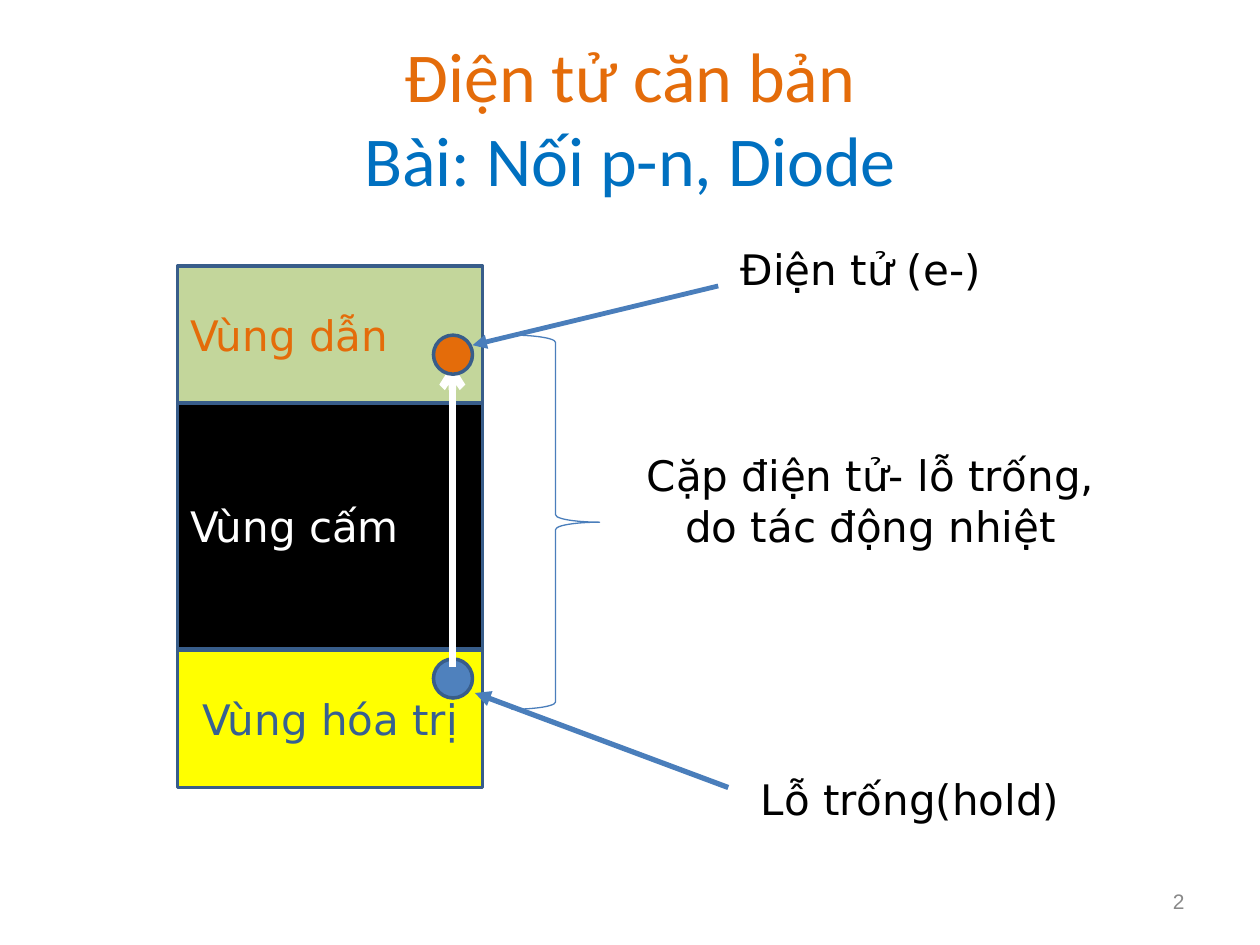
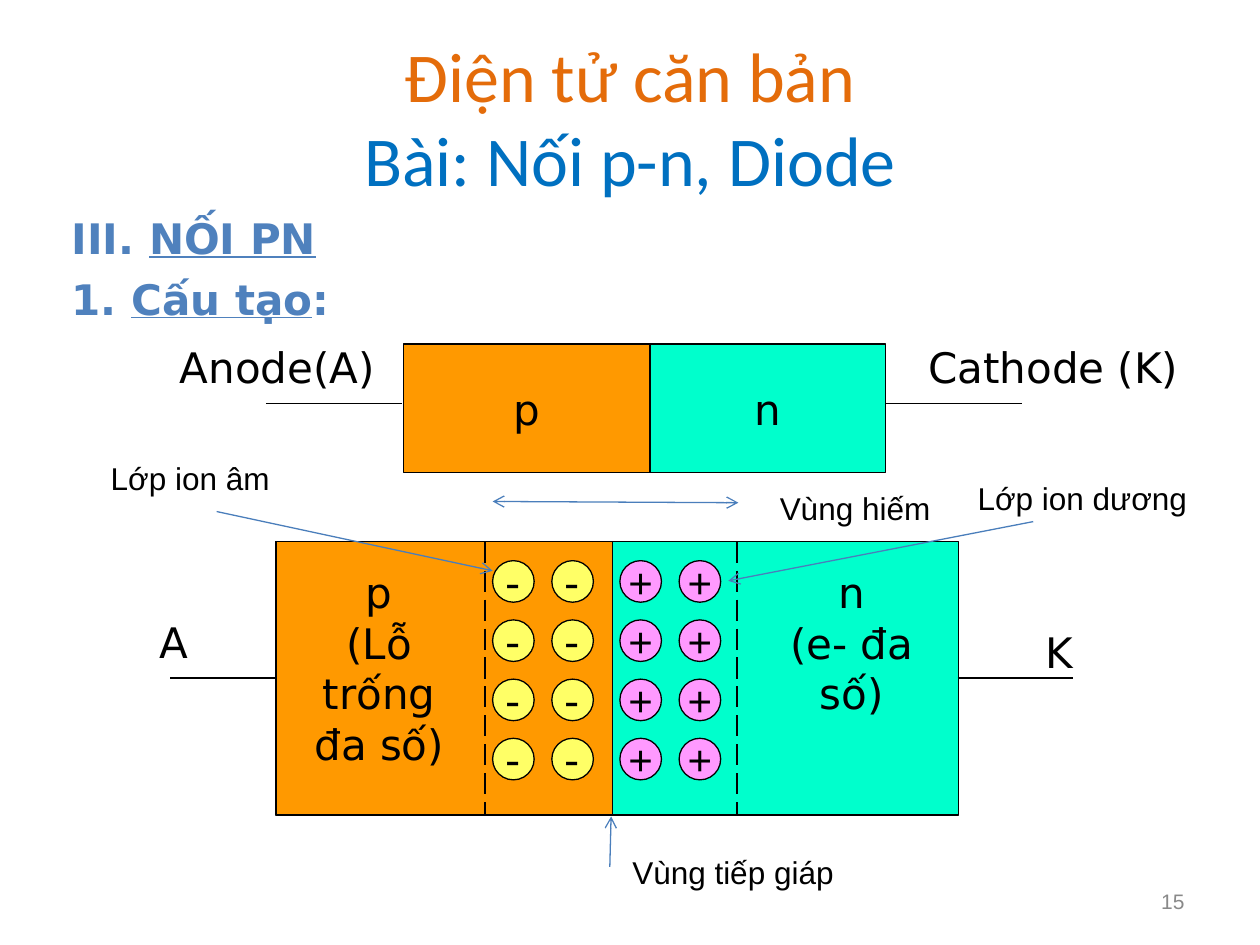
import lxml.etree
import pptx
import pptx.dml.color
import pptx.enum.dml
import pptx.enum.shapes
import pptx.enum.text
import pptx.oxml.ns
import pptx.util

PX = 9144
COLORS = {
    "black": "000000", "white": "FFFFFF", "grey": "898989",
    "orange": "E46C0A", "title_blue": "0070C0", "heading": "4F81BD",
    "arrow": "4A7EBB", "outline": "385D8A", "valence_text": "376092",
    "conduction": "C3D69B", "valence": "FFFF00",
    "p_side": "FF9900", "n_side": "00FFCC",
    "negative": "FFFF66", "positive": "FF99FF",
}
SHAPE = pptx.enum.shapes.MSO_SHAPE
ALIGN = pptx.enum.text.PP_ALIGN
ANCHOR = pptx.enum.text.MSO_ANCHOR
AUTO_SIZE = pptx.enum.text.MSO_AUTO_SIZE


def px(*lengths):
    return [pptx.util.Emu(length * PX) for length in lengths]


def rgb(name):
    return pptx.dml.color.RGBColor.from_string(COLORS[name])


class Board:
    body_font = "DejaVu Sans"
    label_font = "Arial"
    title_font = "Calibri"

    def __init__(self):
        self.deck = pptx.Presentation()
        self.deck.slide_width, self.deck.slide_height = px(1000, 750)
        self.slide = None

    def start(self, number):
        self.slide = self.deck.slides.add_slide(self.deck.slide_layouts[5])
        title = self.slide.shapes.title
        title.left, title.top, title.width, title.height = px(50, 30, 900, 125)
        frame = title.text_frame
        frame.auto_size = AUTO_SIZE.NONE
        frame.vertical_anchor = ANCHOR.MIDDLE
        heading = frame.paragraphs[0]
        heading.alignment = ALIGN.CENTER
        self.add_words(heading, "Điện tử căn bản", 40, self.title_font, "orange")
        heading.add_line_break()
        self.add_words(heading, "Bài: Nối p-n, Diode", 40, self.title_font, "title_blue")
        self.text((717, 695, 233, 40), [number], 12, self.label_font, "grey",
                  ALIGN.RIGHT, ANCHOR.MIDDLE, grow=False)

    def add_words(self, paragraph, words, size, font, color, bold=False, underline=False):
        run = paragraph.add_run()
        run.text = words
        run.font.size = pptx.util.Pt(size)
        run.font.name = font
        run.font.bold = bold
        run.font.underline = underline
        run.font.color.rgb = rgb(color)

    def add_lines(self, frame, lines, size, font, color, align):
        for index, words in enumerate(lines):
            paragraph = frame.add_paragraph() if index else frame.paragraphs[0]
            paragraph.alignment = align
            self.add_words(paragraph, words, size, font, color)

    def text(self, area, lines, size=24, font=body_font, color="black",
             align=ALIGN.LEFT, anchor=ANCHOR.TOP, grow=True):
        frame = self.slide.shapes.add_textbox(*px(*area)).text_frame
        frame.word_wrap = True
        frame.auto_size = AUTO_SIZE.SHAPE_TO_FIT_TEXT if grow else AUTO_SIZE.NONE
        frame.vertical_anchor = anchor
        self.add_lines(frame, lines, size, font, color, align)

    def headings(self, area, lines):
        frame = self.slide.shapes.add_textbox(*px(*area)).text_frame
        frame.word_wrap = True
        for index, pieces in enumerate(lines):
            paragraph = frame.add_paragraph() if index else frame.paragraphs[0]
            if index:
                paragraph.space_before = pptx.util.Pt(6)
            for words, underline in pieces:
                self.add_words(paragraph, words, 24, self.body_font, "heading",
                               True, underline)

    def shape(self, kind, area, fill=None, outline="black", weight=0.75, words=None,
              font=body_font, color="black", align=ALIGN.CENTER, wrap=False):
        shape = self.slide.shapes.add_shape(kind, *px(*area))
        shape.shadow.inherit = False
        if fill:
            shape.fill.solid()
            shape.fill.fore_color.rgb = rgb(fill)
        else:
            shape.fill.background()
        shape.line.color.rgb = rgb(outline)
        shape.line.width = pptx.util.Pt(weight)
        if words:
            frame = shape.text_frame
            frame.word_wrap = wrap
            frame.vertical_anchor = ANCHOR.MIDDLE
            self.add_lines(frame, [words], 24, font, color, align)

    def line(self, start, end, color="black", weight=0.75, dashed=False,
             head=None, tail=None):
        line = self.slide.shapes.add_connector(
            pptx.enum.shapes.MSO_CONNECTOR.STRAIGHT, *px(*start, *end))
        line.line.color.rgb = rgb(color)
        line.line.width = pptx.util.Pt(weight)
        if dashed:
            line.line.dash_style = pptx.enum.dml.MSO_LINE.LONG_DASH
        properties = line._element.spPr
        qn = pptx.oxml.ns.qn
        for tag, arrow in (("a:headEnd", head), ("a:tailEnd", tail)):
            if arrow:
                lxml.etree.SubElement(properties.find(qn("a:ln")), qn(tag), type=arrow)
        lxml.etree.SubElement(properties, qn("a:effectLst"))


def energy_bands(board):
    board.start("2")
    bands = [
        (211, 109, "conduction", "Vùng dẫn", "orange", ALIGN.LEFT),
        (320, 195, "black", "Vùng cấm", "white", ALIGN.LEFT),
        (516, 109, "valence", "Vùng hóa trị", "valence_text", ALIGN.CENTER),
    ]
    for top, height, fill, words, color, align in bands:
        board.shape(SHAPE.RECTANGLE, (141, top, 242, height), fill, "outline", 2,
                    words, color=color, align=align, wrap=True)

    board.shape(SHAPE.OVAL, (344, 523, 31, 31), "heading", "outline", 2)
    board.line((359, 529), (359, 289), "white", 4.25, tail="arrow")
    board.shape(SHAPE.OVAL, (344, 266, 31, 31), "orange", "outline", 2)

    board.shape(SHAPE.RIGHT_BRACE, (406, 266, 70, 297), outline="arrow")
    board.text((484, 352, 414, 90), ["Cặp điện tử- lỗ trống,", "do tác động nhiệt"],
               align=ALIGN.CENTER)
    board.line((578, 625), (377, 550), "arrow", 3, tail="triangle")
    board.line((570, 227), (375, 274), "arrow", 2.75, tail="triangle")
    board.text((578, 188, 250, 50), ["Điện tử (e-)"])
    board.text((594, 609, 297, 50), ["Lỗ trống(hold)"])


def pn_junction(board):
    board.start("15")
    board.headings((47, 164, 900, 495), [
        [("III. ", False), ("NỐI PN", True)],
        [("1. ", False), ("Cấu tạo", True), (":", False)],
    ])

    board.shape(SHAPE.RECTANGLE, (320, 273, 197, 102), "p_side", words="p")
    board.shape(SHAPE.RECTANGLE, (516, 273, 187, 102), "n_side", words="n")
    for lead_left in (211, 703):
        board.line((lead_left, 320), (lead_left + 108, 320))
    board.text((727, 266, 227, 50), ["Cathode (K)"])
    board.text((133, 266, 180, 50), ["Anode(A)"])

    board.shape(SHAPE.RECTANGLE, (219, 430, 542, 217), "n_side")
    board.shape(SHAPE.RECTANGLE, (219, 430, 267, 217), "p_side")
    for depletion_edge in (385, 585):
        board.line((depletion_edge, 430), (depletion_edge, 646), weight=1.5, dashed=True)
    board.line((219, 538), (135, 538))
    board.line((760, 538), (852, 538))
    board.text((227, 445, 148, 170), ["p", "(Lỗ trống đa số)"], align=ALIGN.CENTER)
    board.text((602, 445, 148, 170), ["n", "(e- đa số)"], align=ALIGN.CENTER)

    ion_layers = [
        (391, "negative", "-", board.body_font),
        (492, "positive", "+", board.label_font),
    ]
    ion_size, ion_pitch = 33, 47
    for left, fill, sign, font in ion_layers:
        for row in range(4):
            for column in range(2):
                area = (left + column * ion_pitch, 445 + row * ion_pitch,
                        ion_size, ion_size)
                board.shape(SHAPE.OVAL, area, fill, words=sign, font=font)

    board.line((391, 398), (586, 399), "arrow", head="arrow", tail="arrow")
    pointers = [
        ((484, 688), (485, 648)),
        ((172, 406), (391, 453)),
        ((820, 414), (578, 461)),
    ]
    for start, end in pointers:
        board.line(start, end, "arrow", tail="arrow")
    labels = [
        (492, 672, 187, "Vùng tiếp giáp"),
        (609, 383, 148, "Vùng hiếm"),
        (78, 359, 148, "Lớp ion âm"),
        (766, 375, 211, "Lớp ion dương"),
    ]
    for left, top, width, words in labels:
        board.text((left, top, width, 40), [words], 18, board.label_font)
    board.text((820, 492, 62, 50), ["K"])
    board.text((117, 484, 62, 50), ["A"])


def main():
    board = Board()
    energy_bands(board)
    pn_junction(board)
    board.deck.save("out.pptx")


if __name__ == "__main__":
    main()
